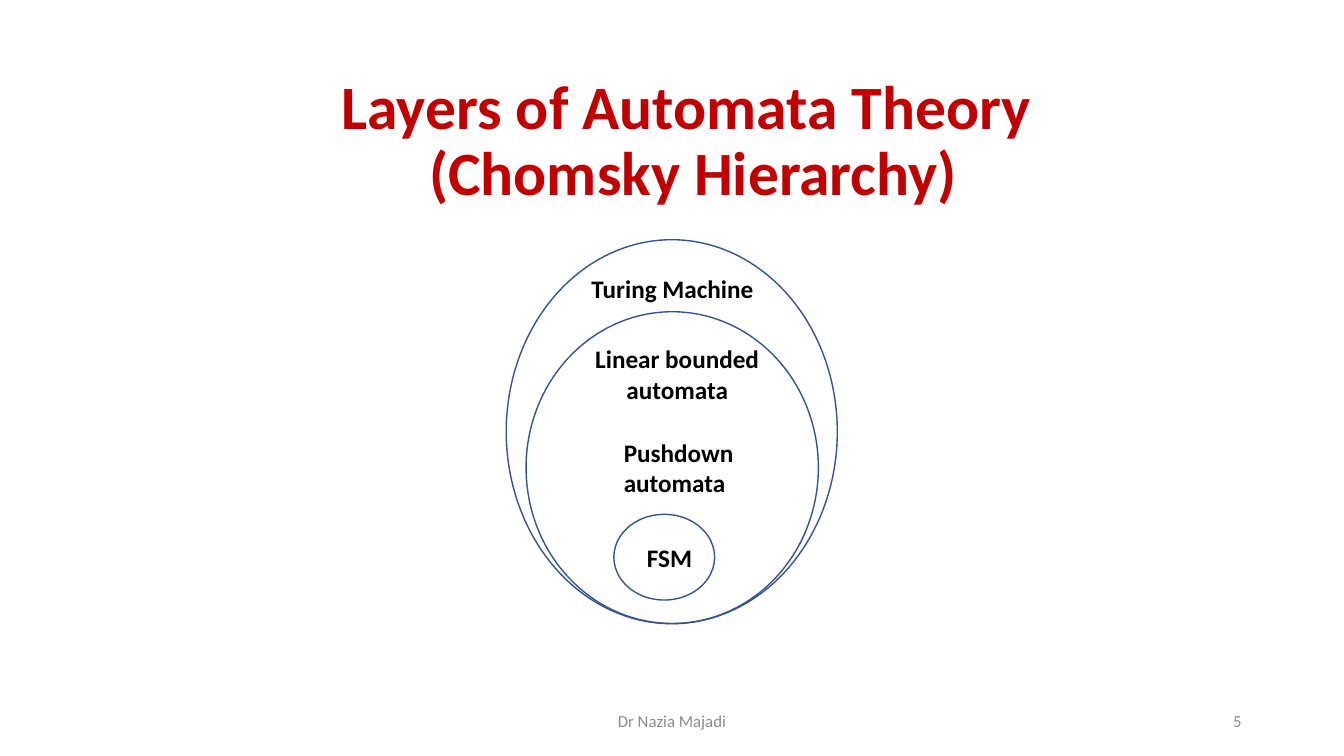
from pptx import Presentation
from pptx.dml.color import RGBColor
from pptx.enum.shapes import MSO_SHAPE as Preset
from pptx.enum.text import MSO_ANCHOR as Anchor, MSO_AUTO_SIZE as AutoSize, PP_ALIGN as Align
from pptx.util import Pt

RED = RGBColor(0xC0, 0x00, 0x00)
BLUE = RGBColor(0x32, 0x54, 0x91)
BLACK = RGBColor(0x00, 0x00, 0x00)
GREY = RGBColor(0x8C, 0x8C, 0x8C)
FONT = "Calibri"
TITLE_ONLY = 5


def add_run(paragraph, words, size, color, bold):
    run = paragraph.add_run()
    run.text = words
    run.font.name = FONT
    run.font.size = Pt(size)
    run.font.bold = bold
    run.font.color.rgb = color


def set_title(slide, lines, left, top, width, height):
    title = slide.shapes.title
    title.left, title.top = Pt(left), Pt(top)
    title.width, title.height = Pt(width), Pt(height)
    frame = title.text_frame
    frame.word_wrap = True
    frame.auto_size = AutoSize.NONE
    frame.vertical_anchor = Anchor.MIDDLE
    heading = frame.paragraphs[0]
    heading.alignment = Align.CENTER
    heading.line_spacing = 0.9
    for number, line in enumerate(lines):
        if number:
            heading.add_line_break()
        add_run(heading, line, 44, RED, True)


def add_text(slide, words, box, align, size, color, bold, anchor, wrap=True):
    frame = slide.shapes.add_textbox(*map(Pt, box)).text_frame
    frame.word_wrap = wrap
    frame.vertical_anchor = anchor
    paragraph = frame.paragraphs[0]
    paragraph.alignment = align
    add_run(paragraph, words, size, color, bold)
    return frame


def add_label(slide, words, box, align=Align.LEFT, wrap=True):
    label = add_text(slide, words, box, align, 18, BLACK, True, Anchor.TOP, wrap)
    label.auto_size = AutoSize.SHAPE_TO_FIT_TEXT


def add_footer(slide, words, box, align):
    add_text(slide, words, box, align, 12, GREY, False, Anchor.MIDDLE)


def add_layer(slide, left, top, width, height):
    layer = slide.shapes.add_shape(Preset.OVAL, Pt(left), Pt(top), Pt(width), Pt(height))
    layer.shadow.inherit = False
    layer.fill.background()
    layer.line.color.rgb = BLUE
    layer.line.width = Pt(1)


def main():
    deck = Presentation()
    deck.slide_width, deck.slide_height = Pt(960), Pt(540)
    slide = deck.slides.add_slide(deck.slide_layouts[TITLE_ONLY])

    set_title(slide, ["Layers of Automata Theory ", "(Chomsky Hierarchy)"], 81.4, 49.7, 828, 104.4)
    add_footer(slide, "Dr Nazia Majadi", (318, 500.5, 324, 28.8), Align.CENTER)
    add_footer(slide, "5", (678, 500.5, 216, 28.8), Align.RIGHT)

    add_layer(slide, 438.5, 367.4, 72, 61.2)
    add_label(slide, "Pushdown automata", (438.5, 308.9, 113, 50.9))
    add_label(slide, "FSM", (455, 383.8, 49, 29))
    add_layer(slide, 375.8, 222.7, 208.8, 222.7)
    add_label(slide, "Linear bounded automata", (406, 242, 155.5, 50.9), Align.CENTER)
    add_layer(slide, 361.6, 171.2, 236.5, 274.3)
    add_label(slide, "Turing Machine", (415.4, 191.5, 131, 29), wrap=False)

    deck.save("out.pptx")


if __name__ == "__main__":
    main()
